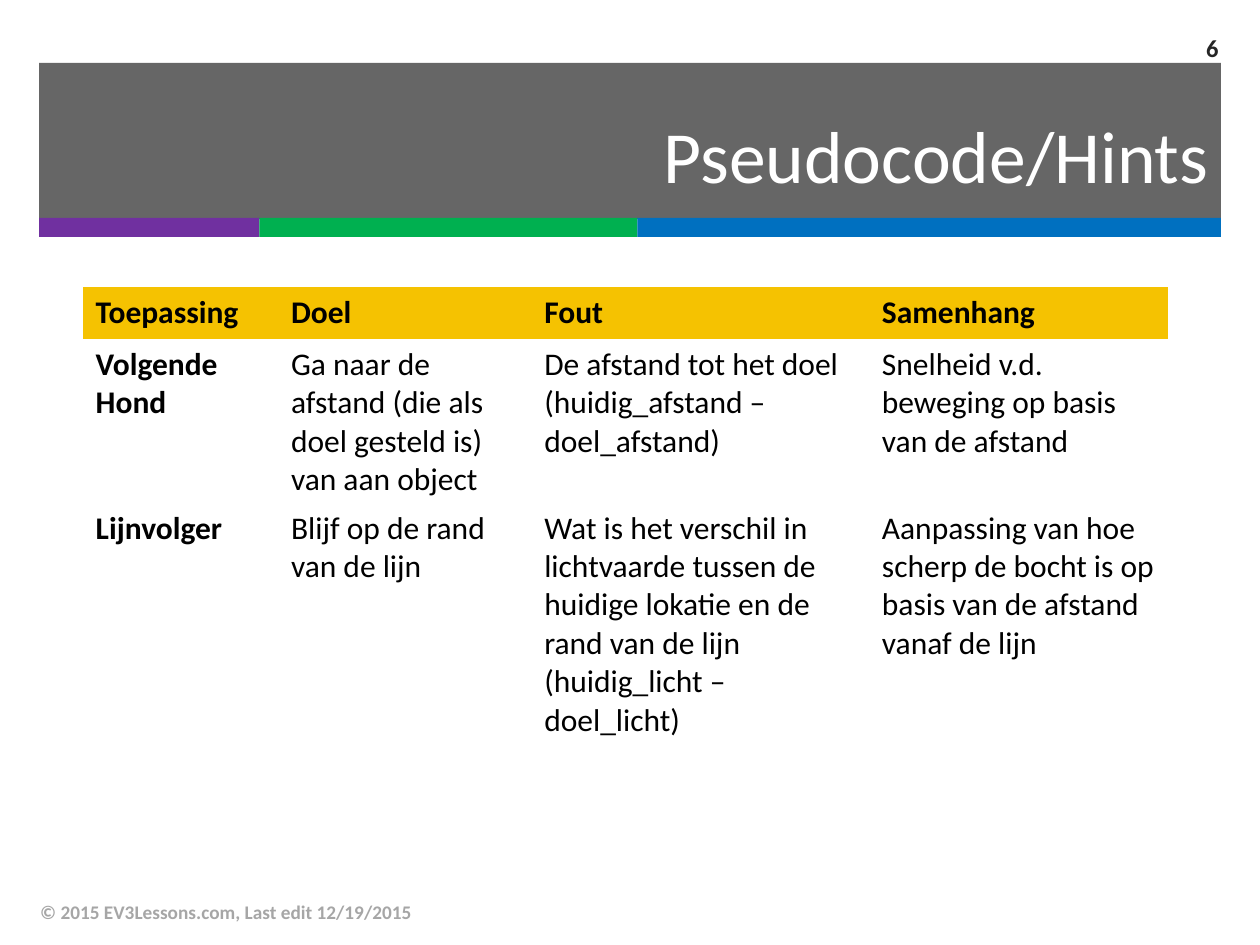
from lxml import etree
from pptx import Presentation
from pptx.dml.color import RGBColor
from pptx.enum.shapes import MSO_SHAPE
from pptx.enum.text import MSO_ANCHOR, PP_ALIGN
from pptx.oxml.ns import qn
from pptx.util import Inches, Pt

COLORS = {
    "dark": "262626", "purple": "7030A0", "green": "00B050", "blue": "0070C0",
    "yellow": "F5C201", "white": "FFFFFF", "black": "000000", "gray": "A6A6A6",
}
FONT = "Calibri"
PLAIN_TABLE_STYLE = "{2D5ABB26-0587-4C30-8999-92F81FD0307C}"
STRIPES = [("purple", 1.75), ("green", 3), ("blue", 4.63)]
COLUMN_WIDTHS = [1.55, 2.01, 2.68, 2.37]
ROW_HEIGHTS = [0.41, 1.3, 1.9]
ROWS = [
    ["Toepassing", "Doel", "Fout", "Samenhang"],
    ["Volgende Hond",
     "Ga naar de afstand (die als doel gesteld is) van aan object",
     "De afstand tot het doel (huidig_afstand – doel_afstand)",
     "Snelheid v.d. beweging op basis van de afstand"],
    ["Lijnvolger",
     "Blijf op de rand van de lijn",
     "Wat is het verschil in lichtvaarde tussen de huidige lokatie en de rand "
     "van de lijn\n(huidig_licht – doel_licht)",
     "Aanpassing van hoe scherp de bocht is op basis van de afstand vanaf de lijn"],
]


def rgb(name):
    return RGBColor.from_string(COLORS[name])


def write(frame, text, size=18, color="black", bold=False, align=PP_ALIGN.LEFT):
    frame.word_wrap = True
    para = frame.paragraphs[0]
    para.text = text
    para.alignment = align
    for span in para.runs:
        span.font.name = FONT
        span.font.size = Pt(size)
        span.font.bold = bold
        span.font.color.rgb = rgb(color)


def add_label(page, left, top, width, height, text, **style):
    """Add a text box whose text is centred vertically."""
    box = page.shapes.add_textbox(
        Inches(left), Inches(top), Inches(width), Inches(height))
    box.text_frame.vertical_anchor = MSO_ANCHOR.MIDDLE
    write(box.text_frame, text, **style)


def add_bar(page, left, top, width, height, color, opacity=100):
    bar = page.shapes.add_shape(
        MSO_SHAPE.RECTANGLE,
        Inches(left), Inches(top), Inches(width), Inches(height))
    bar.shadow.inherit = False
    bar.line.fill.background()
    bar.fill.solid()
    bar.fill.fore_color.rgb = rgb(color)
    if opacity < 100:
        value = bar.fill._xPr.find(".//" + qn("a:srgbClr"))
        etree.SubElement(value, qn("a:alpha")).set("val", str(opacity * 1000))


def add_banner(page, left, top, width, height, title):
    add_bar(page, left, top, width, height, "dark", opacity=70)
    stripe_left = left
    for color, stripe_width in STRIPES:
        add_bar(page, stripe_left, top + height - 0.01, stripe_width, 0.15, color)
        stripe_left += stripe_width
    add_label(page, left, top + 0.19, width, 1.06, title,
              size=42, color="white", align=PP_ALIGN.RIGHT)


def add_hint_table(page, left, top):
    frame = page.shapes.add_table(
        len(ROWS), len(COLUMN_WIDTHS), Inches(left), Inches(top),
        Inches(sum(COLUMN_WIDTHS)), Inches(sum(ROW_HEIGHTS)))
    table = frame.table
    table.horz_banding = False
    table._tbl.tblPr.find(qn("a:tableStyleId")).text = PLAIN_TABLE_STYLE
    for column, width in zip(table.columns, COLUMN_WIDTHS):
        column.width = Inches(width)
    for r, (texts, height) in enumerate(zip(ROWS, ROW_HEIGHTS)):
        table.rows[r].height = Inches(height)
        for c, text in enumerate(texts):
            cell = table.cell(r, c)
            if r == 0:
                cell.fill.solid()
                cell.fill.fore_color.rgb = rgb("yellow")
            else:
                cell.fill.background()
            write(cell.text_frame, text, bold=r == 0 or c == 0)


def main():
    deck = Presentation()
    deck.slide_width, deck.slide_height = Inches(10), Inches(7.5)
    page = deck.slides.add_slide(deck.slide_layouts[6])
    add_banner(page, 0.31, 0.5, 9.38, 1.24, "Pseudocode/Hints")
    add_label(page, 0.22, 7.04, 6.7, 0.4,
              "© 2015 EV3Lessons.com, Last edit 12/19/2015",
              size=11, color="gray", bold=True)
    add_hint_table(page, 0.66, 2.28)
    add_label(page, 9.08, 0.18, 0.69, 0.39, "6",
              size=14, color="dark", bold=True, align=PP_ALIGN.RIGHT)
    deck.save("out.pptx")


if __name__ == "__main__":
    main()
